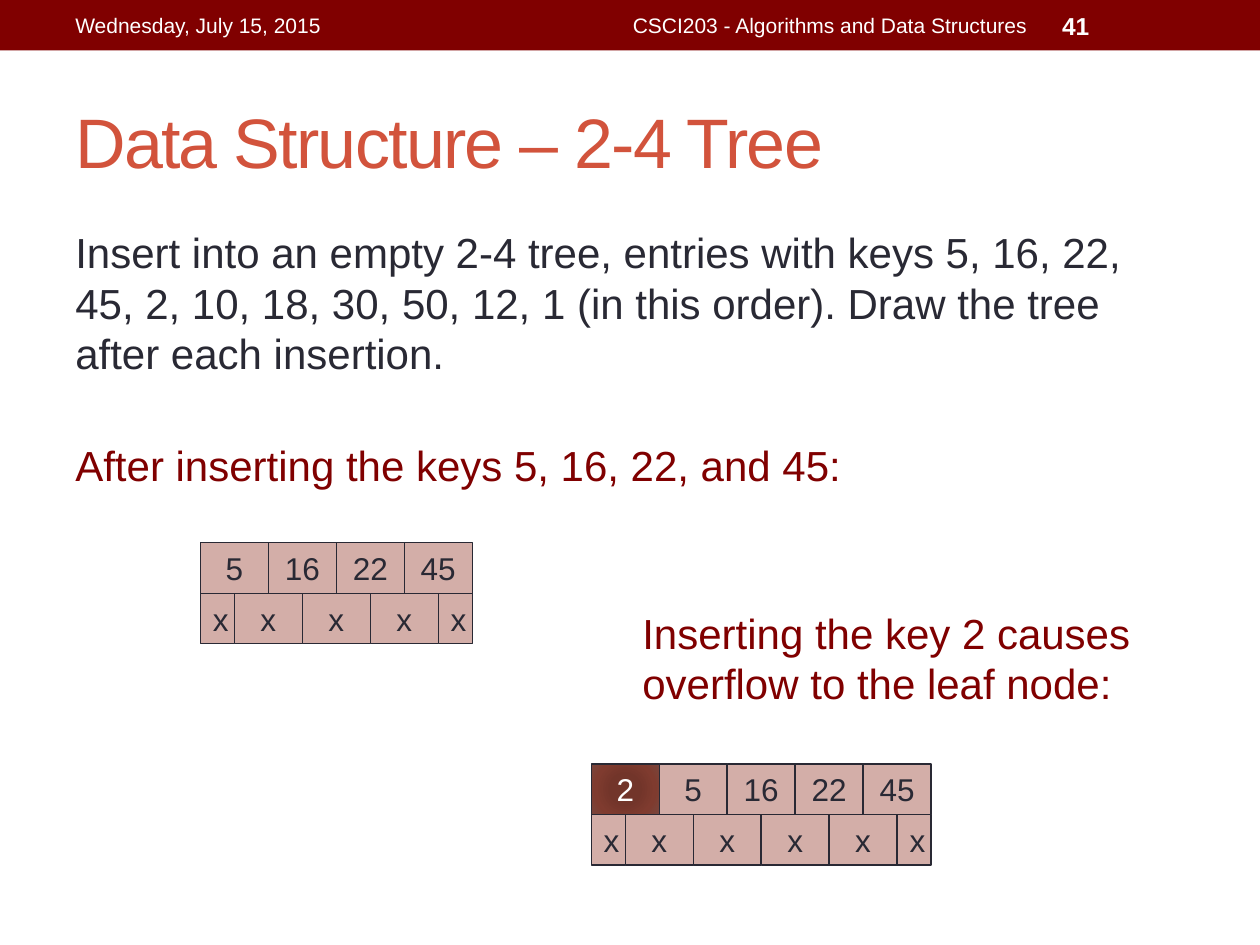
from pptx import Presentation
from pptx.dml.color import RGBColor
from pptx.enum.shapes import MSO_SHAPE
from pptx.enum.text import MSO_ANCHOR, PP_ALIGN
from pptx.oxml import parse_xml
from pptx.oxml.ns import nsdecls
from pptx.util import Cm, Pt

COLORS = {
    "maroon": "800000",
    "title": "D2533C",
    "ink": "292934",
    "cell": "D3AEA8",
    "white": "FFFFFF",
}
# Radial fill of the newly inserted key: position in percent, colour
NEW_KEY_STOPS = [(0, "743327"), (34, "72352A"), (70, "7F3B2F"), (100, "79463D")]
CELL_WIDTH, CELL_HEIGHT = 1.37, 1.02


def color(name):
    return RGBColor.from_string(COLORS[name])


def write(shape, text, size, ink, align=PP_ALIGN.LEFT, anchor=MSO_ANCHOR.MIDDLE):
    frame = shape.text_frame
    frame.word_wrap = True
    frame.vertical_anchor = anchor
    para = frame.paragraphs[0]
    para.text = text
    para.alignment = align
    para.font.name = "Arial"
    para.font.size = Pt(size)
    para.font.color.rgb = color(ink)
    return para


def add_text(page, box, text, size, ink, **layout):
    shape = page.shapes.add_textbox(*map(Cm, box))
    return write(shape, text, size, ink, **layout)


def add_rectangle(page, box, fill):
    shape = page.shapes.add_shape(MSO_SHAPE.RECTANGLE, *map(Cm, box))
    shape.shadow.inherit = False
    shape.fill.solid()
    shape.fill.fore_color.rgb = color(fill)
    shape.line.fill.background()
    return shape


def fill_radial(shape, stops):
    stop_xml = "".join(
        f'<a:gs pos="{position * 1000}"><a:srgbClr val="{value}"/></a:gs>'
        for position, value in stops
    )
    gradient = parse_xml(
        f'<a:gradFill {nsdecls("a")} rotWithShape="1"><a:gsLst>{stop_xml}</a:gsLst>'
        '<a:path path="circle"><a:fillToRect l="100000" t="100000" r="100000" b="100000"/>'
        "</a:path></a:gradFill>"
    )
    properties = shape.element.spPr
    properties.replace(properties.find("{*}solidFill"), gradient)


def add_header(page, left, top, width, height):
    add_rectangle(page, (left, top, width, height), "maroon")
    text_top, text_height = top + 0.05, height - 0.1
    add_text(page, (left + 1.27, text_top, 8.05, text_height),
             "Wednesday, July 15, 2015", 12, "white")
    add_text(page, (left + 9.53, text_top, 11.43, text_height),
             "CSCI203 - Algorithms and Data Structures", 12, "white",
             align=PP_ALIGN.RIGHT)
    number = add_text(page, (left + 21.16, text_top, 2.97, text_height),
                      "41", 14, "white")
    number.font.bold = True


def add_question(page, left, top, width):
    title = add_text(page, (left, top, width, 2.74),
                     "Data Structure – 2-4 Tree", 40, "title")
    title.runs[0].font._element.set("spc", "-100")
    add_text(page, (left, top + 2.98, width, 3.6),
             "Insert into an empty 2-4 tree, entries with keys 5, 16, 22, 45, "
             "2, 10, 18, 30, 50, 12, 1 (in this order). Draw the tree after "
             "each insertion.", 24, "ink", anchor=MSO_ANCHOR.TOP)


def add_cell(page, left, top, width, text, is_new=False):
    cell = add_rectangle(page, (left, top, width, CELL_HEIGHT), "cell")
    cell.line.color.rgb = color("ink")
    cell.line.width = Pt(0.75)
    if is_new:
        fill_radial(cell, NEW_KEY_STOPS)
    write(cell, text, 18, "white" if is_new else "ink", align=PP_ALIGN.CENTER)


def add_node(page, left, top, keys, new_key=None):
    # Keys on top
    for index, key in enumerate(keys):
        add_cell(page, left + index * CELL_WIDTH, top, CELL_WIDTH,
                 str(key), key == new_key)
    # Empty child links below, half a cell wide at both ends
    half = CELL_WIDTH / 2
    widths = [half] + [CELL_WIDTH] * (len(keys) - 1) + [half]
    for width in widths:
        add_cell(page, left, top + CELL_HEIGHT, width, "x")
        left += width


def add_step(page, box, text, node_offset, keys, new_key=None):
    left, top = box[:2]
    add_text(page, box, text, 24, "maroon", anchor=MSO_ANCHOR.TOP)
    add_node(page, left + node_offset[0], top + node_offset[1], keys, new_key)


def main():
    deck = Presentation()
    deck.slide_width, deck.slide_height = Cm(25.4), Cm(19.05)
    page = deck.slides.add_slide(deck.slide_layouts[6])

    add_header(page, 0, 0, 25.4, 1.02)
    add_question(page, 1.27, 1.47, 22.86)
    add_step(page, (1.27, 8.74, 16.4, 1.27),
             "After inserting the keys 5, 16, 22, and 45:",
             (2.77, 2.2), [5, 16, 22, 45])
    add_step(page, (12.7, 12.12, 10.39, 2.31),
             "Inserting the key 2 causes overflow to the leaf node:",
             (-0.78, 3.28), [2, 5, 16, 22, 45], new_key=2)

    deck.save("out.pptx")


if __name__ == "__main__":
    main()
